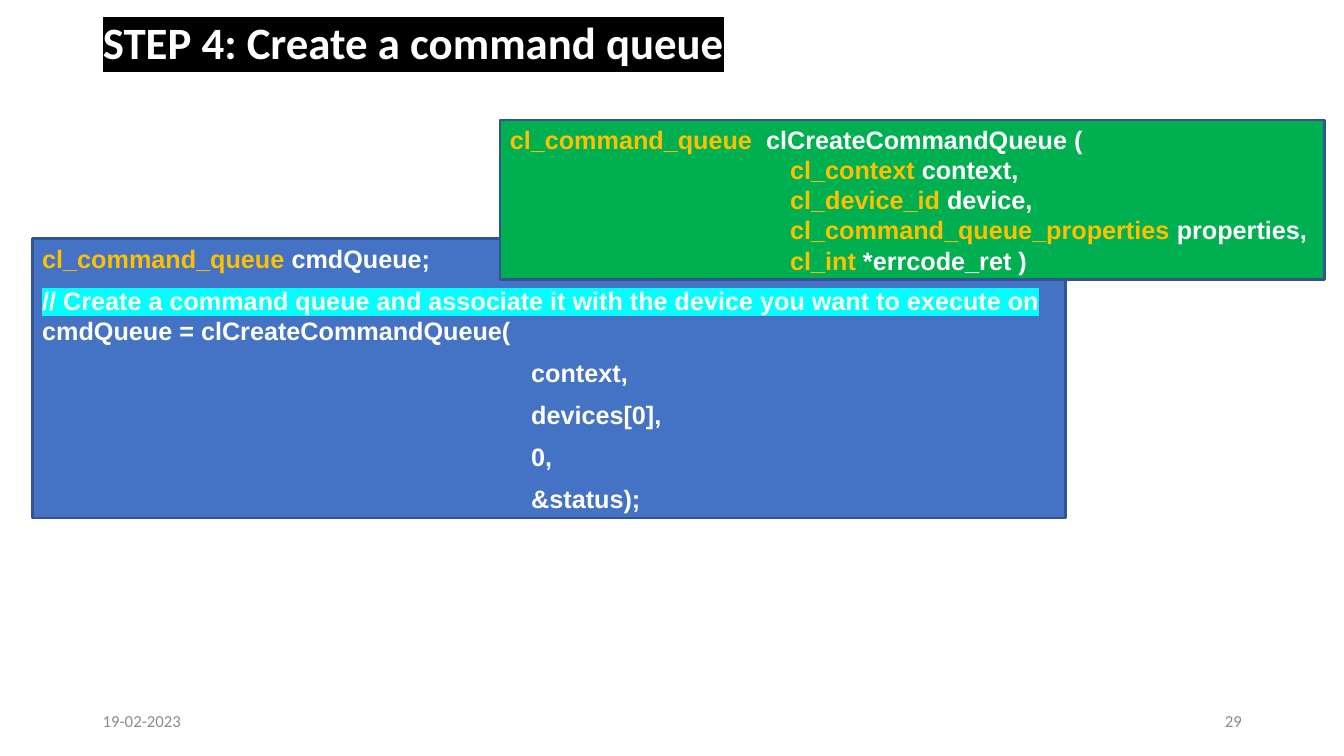
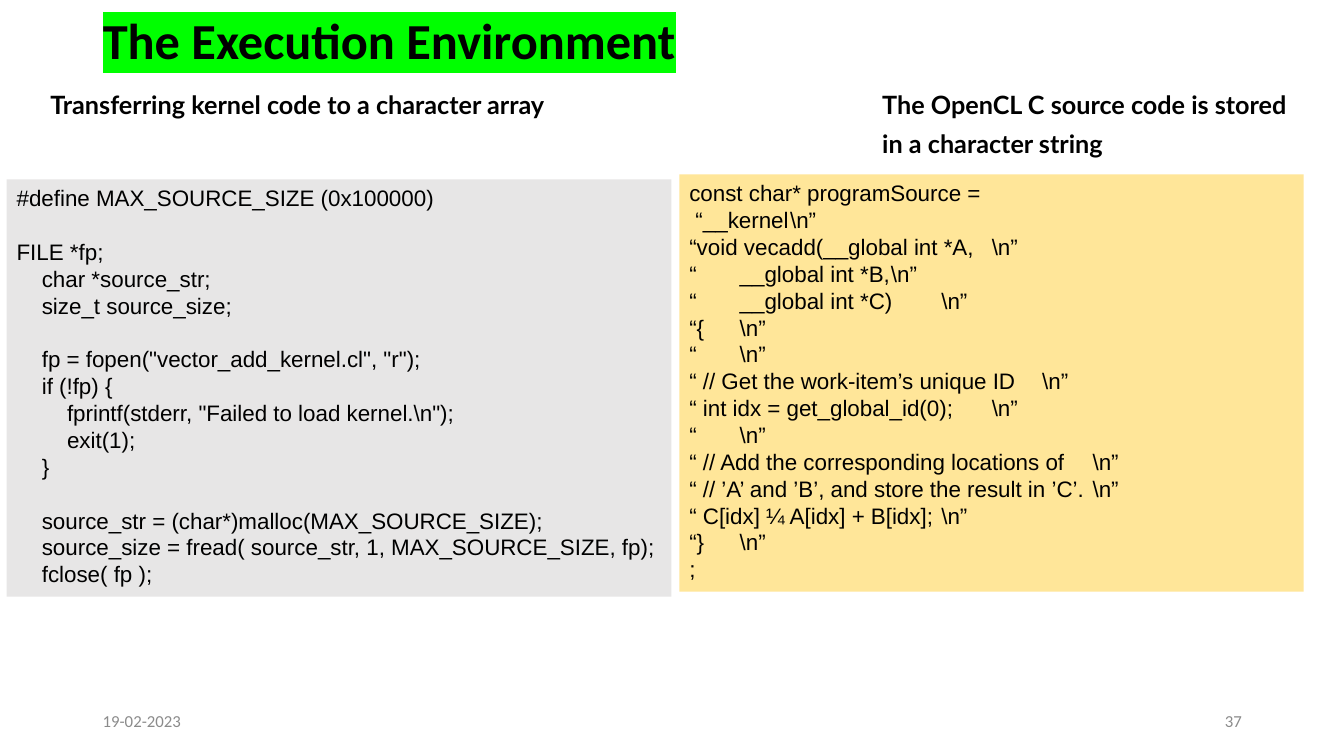
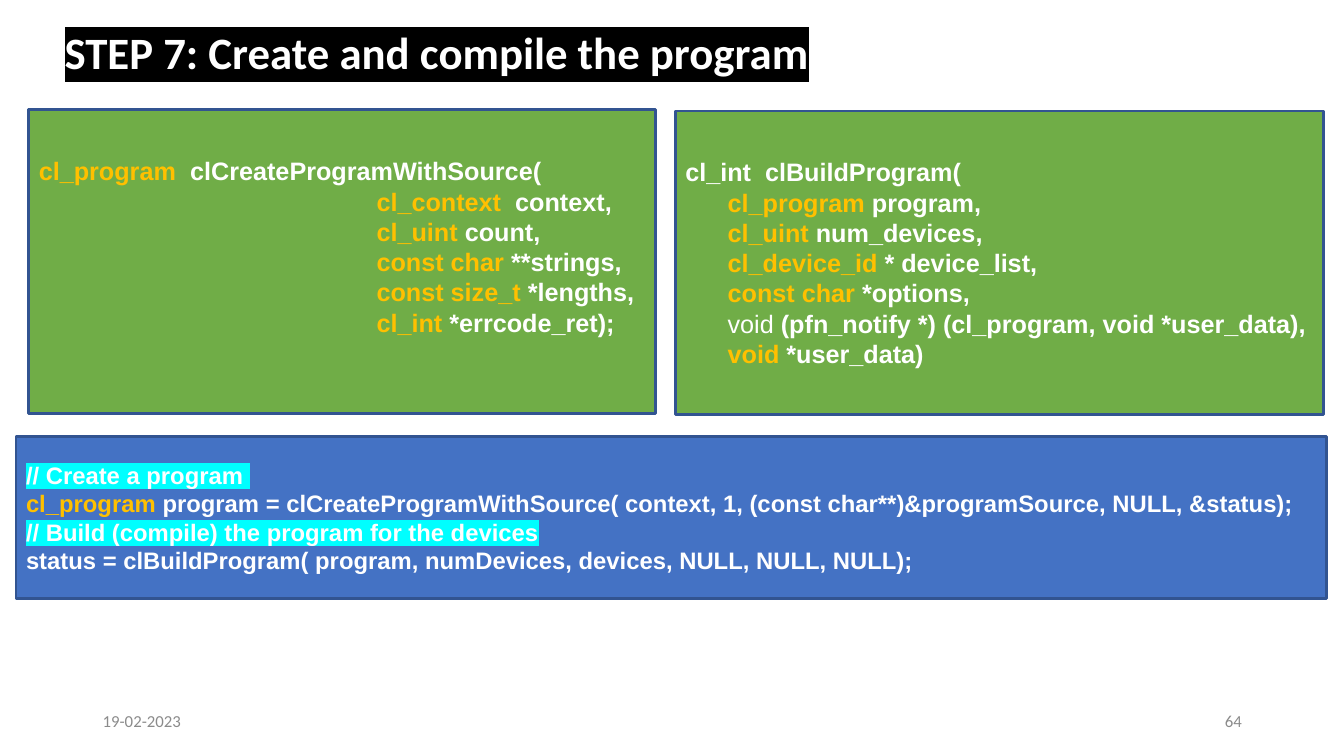
from pptx import Presentation
from pptx.dml.color import RGBColor
from pptx.enum.shapes import MSO_SHAPE as Preset
from pptx.enum.text import MSO_ANCHOR as Anchor, MSO_AUTO_SIZE as AutoSize, PP_ALIGN as Align
from pptx.oxml.ns import qn
from pptx.util import Inches, Pt
from lxml.etree import SubElement

WIDTH, HEIGHT = Inches(13.33), Inches(7.5)
TITLE_ONLY, TITLE_AND_BODY = 5, 1
WHITE, BLACK, GREY = "FFFFFF", "000000", "8B8B8B"
GOLD, CYAN, LIME = "FFC000", "00FFFF", "00FF00"
BLUE, GREEN, LEAF, EDGE = "4472C4", "00B050", "70AD47", "325491"
SILVER, SAND = "E7E6E6", "FFE699"
MARGIN, DATE = 6.9, "19-02-2023"


def colour(value):
    return RGBColor.from_string(value)


def area(left, top, width, height):
    return (int(WIDTH * left / 100), int(HEIGHT * top / 100),
            int(WIDTH * width / 100), int(HEIGHT * height / 100))


def move(shape, place):
    shape.left, shape.top, shape.width, shape.height = area(*place)


def style(para, font, size, ink, bold=False):
    para.font.name, para.font.size, para.font.bold = font, Pt(size), bold
    para.font.color.rgb = colour(ink)


def indent(para, left, first=0.0):
    props = para._p.get_or_add_pPr()
    props.set("marL", str(Inches(left)))
    props.set("indent", str(Inches(first)))


def add_tabs(para, stops):
    tabs = SubElement(para._p.get_or_add_pPr(), qn("a:tabLst"))
    for stop in stops:
        SubElement(tabs, qn("a:tab"), pos=str(Inches(stop)), algn="l")


def highlight(span, value):
    mark = SubElement(span._r.get_or_add_rPr(), qn("a:highlight"))
    SubElement(mark, qn("a:srgbClr"), val=value)


def add_span(para, text, kind="code"):
    span = para.add_run()
    span.text = text
    if kind == "type":
        span.font.color.rgb = colour(GOLD)
    elif kind == "note":
        highlight(span, CYAN)
    elif kind == "plain":
        span.font.bold = False


def paragraphs(frame, count):
    return [frame.paragraphs[0]] + [frame.add_paragraph() for _ in range(count - 1)]


def add_page(deck, layout, number):
    page = deck.slides.add_slide(deck.slide_layouts[layout])
    for left, text, align in ((MARGIN, DATE, Align.LEFT), (70.65, number, Align.RIGHT)):
        frame = page.shapes.add_textbox(*area(left, 92.67, 22.5, 5.33)).text_frame
        frame.word_wrap, frame.vertical_anchor = True, Anchor.MIDDLE
        para = frame.paragraphs[0]
        para.text, para.alignment = text, align
        style(para, "Calibri", 12, GREY)
    return page


def set_title(page, text, left, top, band_end, size=32, ink=WHITE, band=BLACK):
    title = page.shapes.title
    move(title, (left, top, 86.25, 10.93))
    frame = title.text_frame
    frame.auto_size, frame.vertical_anchor = AutoSize.NONE, Anchor.MIDDLE
    para = frame.paragraphs[0]
    add_tabs(para, [band_end])
    para.alignment, para.line_spacing = Align.LEFT, 0.9
    style(para, "Calibri", size, ink, True)
    span = para.add_run()
    span.text = text + "\t"
    highlight(span, band)


def set_headings(page, left_text, right_text):
    body = page.placeholders[1]
    move(body, (3, 11.2, 94, 76.53))
    body.text_frame.auto_size = AutoSize.NONE
    para = body.text_frame.paragraphs[0]
    indent(para, 8.25, -8.25)
    SubElement(para._p.get_or_add_pPr(), qn("a:buNone"))
    add_tabs(para, [6.95])
    para.space_before = Pt(0)
    style(para, "Lato", 18, BLACK, True)
    add_span(para, f"{left_text}\t{right_text}")
    tail = para.add_run()
    tail.text, tail.font.size = " ", Pt(24)


def add_panel(page, place, fill, edge=None, anchor=Anchor.MIDDLE):
    box = page.shapes.add_shape(Preset.RECTANGLE, *area(*place))
    box.shadow.inherit = False
    box.fill.solid()
    box.fill.fore_color.rgb = colour(fill)
    if edge:
        box.line.color.rgb, box.line.width = colour(edge), Pt(2)
    else:
        box.line.fill.background()
    box.text_frame.word_wrap, box.text_frame.vertical_anchor = True, anchor
    return box.text_frame


def add_code(page, place, fill, lines, args=(), step=0, size=18, before=0):
    frame = add_panel(page, place, fill, EDGE)
    rows = [(0, line) for line in lines] + [(step, line) for line in args]
    for para, (left, spans) in zip(paragraphs(frame, len(rows)), rows):
        indent(para, left)
        para.alignment, para.space_before = Align.LEFT, Pt(before)
        style(para, "Arial", size, WHITE, True)
        for span in spans:
            add_span(para, *span)
    return frame


def add_listing(page, place, fill, rows):
    frame = add_panel(page, place, fill, anchor=Anchor.TOP)
    for para, (text, level, gap, stops) in zip(paragraphs(frame, len(rows)), rows):
        indent(para, level * 0.25)
        if stops:
            add_tabs(para, stops)
        para.alignment, para.space_before = Align.LEFT, Pt(19.2 * gap)
        style(para, "Arial", 16, BLACK)
        add_span(para, text)


def typed(kind, name):
    return [(kind, "type"), (name,)]


def quoted(text, stop=5):
    stops = [1.3, stop] if "\t" in text else [stop]
    return f"{text}\t\\n”", 0, 0, stops


def queue_page(deck):
    page = add_page(deck, TITLE_ONLY, "29")
    set_title(page, "STEP 4: Create a command queue", MARGIN, 0.53, 6.46)
    add_code(page, (2.4, 31.6, 76.9, 36.93), BLUE, [
        typed("cl_command_queue ", "cmdQueue;"),
        [("// Create a command queue and associate it with the device you want to execute on ", "note"),
         ("cmdQueue = clCreateCommandQueue(",)],
    ], [[(name,)] for name in ("context,", "devices[0],", "0,", "&status);")], 4.85, before=8.3)
    add_code(page, (37.2, 15.87, 61.35, 21.07), GREEN,
             [typed("cl_command_queue  ", "clCreateCommandQueue (")], [
                 typed("cl_context ", "context,"),
                 typed("cl_device_id ", "device,"),
                 typed("cl_command_queue_properties ", "properties,"),
                 typed("cl_int ", "*errcode_ret )")], 2.78)


def environment_page(deck):
    page = add_page(deck, TITLE_AND_BODY, "37")
    set_title(page, "The Execution Environment", MARGIN, 0.27, 5.9, 36, BLACK, LIME)
    set_headings(page, "Transferring kernel code to a character array",
                 "The OpenCL C source code is stored in a character string")
    loader = [
        ("#define MAX_SOURCE_SIZE (0x100000)", 0, 0),
        ("FILE *fp;", 0, 1),
        ("char *source_str;", 1, 0),
        ("size_t source_size;", 1, 0),
        ('fp = fopen("vector_add_kernel.cl", "r");', 1, 1),
        ("if (!fp) {", 1, 0),
        ('fprintf(stderr, "Failed to load kernel.\\n");', 2, 0),
        ("exit(1);", 2, 0),
        ("}", 1, 0),
        ("source_str = (char*)malloc(MAX_SOURCE_SIZE);", 1, 1),
        ("source_size = fread( source_str, 1, MAX_SOURCE_SIZE, fp);", 1, 0),
        ("fclose( fp );", 1, 0)]
    add_listing(page, (0.5, 23.73, 49.45, 55.2), SILVER, [(*row, None) for row in loader])
    add_listing(page, (50.55, 23.07, 46.45, 55.2), SAND, [
        ("const char* programSource =", 0, 0, None),
        quoted(" “__kernel"),
        quoted("“void vecadd(__global int *A,"),
        quoted("“\t__global int *B,"),
        quoted("“\t__global int *C)"),
        quoted("“{"),
        quoted("“"),
        quoted("“ // Get the work-item’s unique ID"),
        quoted("“ int idx = get_global_id(0);", 4),
        quoted("“"),
        quoted("“ // Add the corresponding locations of"),
        quoted("“ // ’A’ and ’B’, and store the result in ’C’."),
        quoted("“ C[idx] ¼ A[idx] + B[idx];"),
        quoted("“}", 4),
        (";", 0, 0, None)])


def program_page(deck):
    page = add_page(deck, TITLE_ONLY, "64")
    set_title(page, "STEP 7: Create and compile the program", 4.05, 1.87, 7.68)
    add_code(page, (1.2, 57.73, 97.5, 21.47), BLUE, [
        [("// Create a program ", "note")],
        typed("cl_program", " program = clCreateProgramWithSource( context, 1, "
                            "(const char**)&programSource, NULL, &status);"),
        [("// Build (compile) the program for the devices", "note")],
        [("status = clBuildProgram( program, numDevices, devices, NULL, NULL, NULL);",)]], size=17)
    source = add_code(page, (2.15, 14.53, 46.6, 40.13), LEAF,
                      [typed("cl_program  ", "clCreateProgramWithSource(")], [
                          typed("cl_context", "  context,"),
                          typed("cl_uint ", "count,"),
                          typed("const char ", "**strings,"),
                          typed("const size_t ", "*lengths,"),
                          typed("cl_int ", "*errcode_ret);")], 3.35)
    source.margin_bottom = Inches(0.35)
    add_code(page, (50.25, 14.67, 48.25, 40.13), LEAF, [[("cl_int  clBuildProgram(",)]], [
        typed("cl_program", " program,"),
        typed("cl_uint ", "num_devices,"),
        typed("cl_device_id", " * device_list,"),
        typed("const char", " *options,"),
        [("void", "plain"), (" (pfn_notify *) (cl_program, void *user_data),",)],
        typed("void", " *user_data)")], 0.42)


def main():
    deck = Presentation()
    deck.slide_width, deck.slide_height = WIDTH, HEIGHT
    queue_page(deck)
    environment_page(deck)
    program_page(deck)
    deck.save("out.pptx")


if __name__ == "__main__":
    main()
